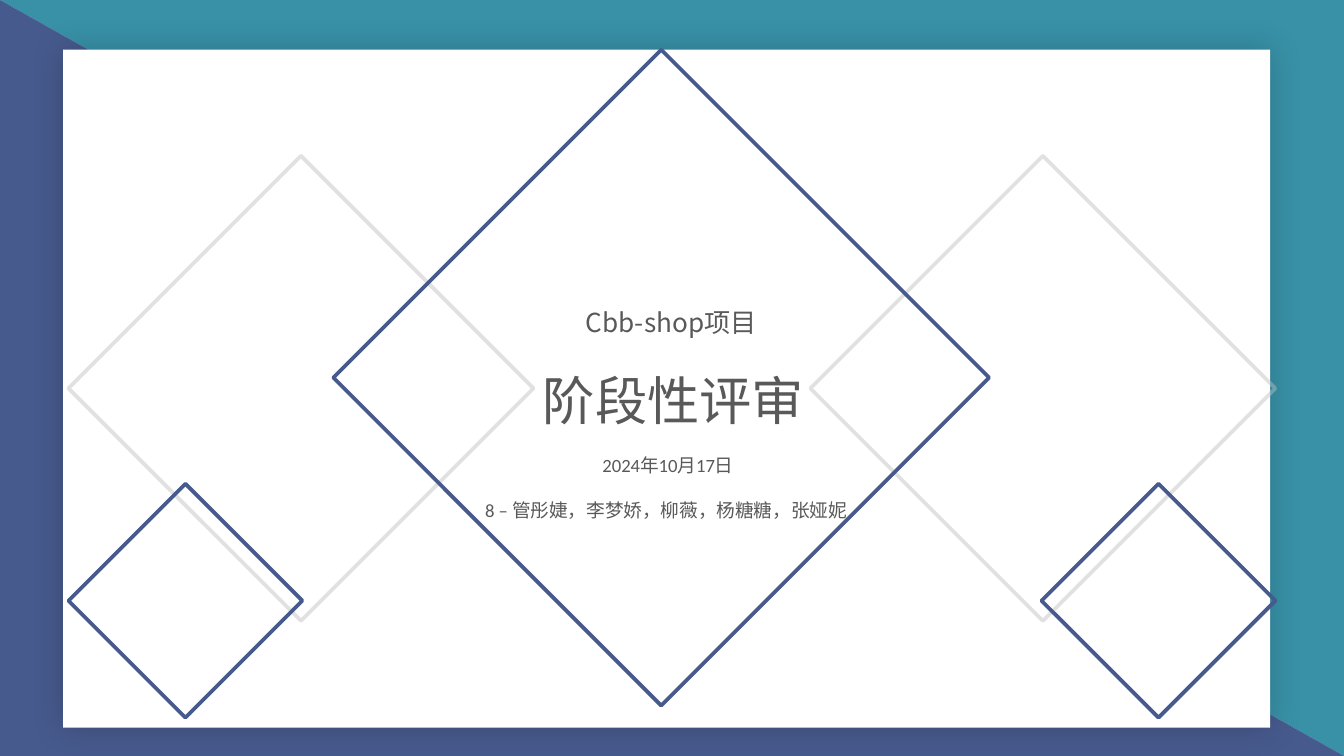
from dataclasses import dataclass

from lxml.etree import SubElement
from pptx import Presentation
from pptx.dml.color import RGBColor
from pptx.enum.shapes import MSO_SHAPE
from pptx.enum.text import MSO_ANCHOR, MSO_AUTO_SIZE, PP_ALIGN
from pptx.oxml.ns import qn
from pptx.util import Inches, Pt

SLIDE_WIDTH = 10
SLIDE_HEIGHT = SLIDE_WIDTH * 9 / 16


@dataclass(frozen=True)
class Theme:
    background: str = "F2F2F2"
    teal: str = "3891A7"
    indigo: str = "475A8D"
    panel: str = "FFFFFF"
    pale: str = "BFBFBF"
    text: str = "595959"
    shadow: str = "000000"
    cjk_font: str = "Noto Sans CJK SC"
    latin_font: str = "Calibri"
    title_size: int = 28
    project_size: int = 14
    detail_size: int = 10
    outline: int = 2


THEME = Theme()


def add_shape(slide, kind, box, fill=None, line=None):
    shape = slide.shapes.add_shape(kind, *map(Inches, box))
    shape.shadow.inherit = False
    if fill:
        shape.fill.solid()
        shape.fill.fore_color.rgb = RGBColor.from_string(fill)
    else:
        shape.fill.background()
    if line:
        shape.line.color.rgb = RGBColor.from_string(line)
        shape.line.width = Pt(THEME.outline)
    else:
        shape.line.fill.background()
    return shape


def set_opacity(color, percent):
    SubElement(color, qn("a:alpha"), val=str(percent * 1000))


def add_soft_shadow(shape, blur, opacity):
    effects = shape._element.spPr.find(qn("a:effectLst"))
    shadow = SubElement(effects, qn("a:outerShdw"), blurRad=str(Pt(blur)),
                        dist="0", dir="0", algn="ctr", rotWithShape="0")
    set_opacity(SubElement(shadow, qn("a:srgbClr"), val=THEME.shadow), opacity)


def add_diamond(slide, left, top, side, color, opacity=100):
    diamond = add_shape(slide, MSO_SHAPE.DIAMOND, (left, top, side, side), line=color)
    if opacity < 100:
        set_opacity(diamond.line._ln.find(".//" + qn("a:srgbClr")), opacity)


def write_text(shape, lines, size, font, align=PP_ALIGN.LEFT, gap=0, wrap=True):
    frame = shape.text_frame
    frame.word_wrap = wrap
    frame.auto_size = MSO_AUTO_SIZE.SHAPE_TO_FIT_TEXT
    frame.vertical_anchor = MSO_ANCHOR.TOP
    frame.text = "\n".join(lines)
    for index, paragraph in enumerate(frame.paragraphs):
        paragraph.alignment = align
        paragraph.space_before = Pt(gap if index else 0)
        paragraph.font.size = Pt(size)
        paragraph.font.name = font
        paragraph.font.color.rgb = RGBColor.from_string(THEME.text)
        for run in paragraph.runs:
            SubElement(run._r.get_or_add_rPr(), qn("a:ea"), typeface=THEME.cjk_font)


def add_backdrop(slide, box):
    """Two triangles split the slide, with a white panel on top."""
    left, top, width, height = box
    slide.background.fill.solid()
    slide.background.fill.fore_color.rgb = RGBColor.from_string(THEME.background)
    upper = add_shape(slide, MSO_SHAPE.RIGHT_TRIANGLE, box, THEME.teal)
    upper.rotation = 180
    add_shape(slide, MSO_SHAPE.RIGHT_TRIANGLE, box, THEME.indigo)
    panel = add_shape(slide, MSO_SHAPE.RECTANGLE,
                      (left + 0.47, top + 0.37, width - 1.02, height - 0.58), THEME.panel)
    add_soft_shadow(panel, blur=17, opacity=18)


def add_diamonds(slide, box):
    """A large central diamond between mirrored pale and small ones."""
    left, top, width, height = box
    for side, offset, color, opacity in (
        (3.46, 0.79, THEME.pale, 45),
        (1.74, height - 1.65, THEME.indigo, 100),
    ):
        for x in (left, left + width - side):
            add_diamond(slide, x, top + offset, side, color, opacity)
    add_diamond(slide, left + 1.97, top, 4.88, THEME.indigo)


def add_heading(slide, box):
    """Project name, title, then date and team."""
    left, top, width, height = box
    project = slide.shapes.add_textbox(Inches(left + 1.89), Inches(top), Inches(5.28), Inches(0.34))
    write_text(project, ["Cbb-shop项目"], THEME.project_size, THEME.cjk_font)

    title = slide.shapes.title
    title.left, title.top = Inches(left + 1.57), Inches(top + 0.46)
    title.width, title.height = Inches(2.17), Inches(0.57)
    write_text(title, ["阶段性评审"], THEME.title_size, THEME.cjk_font, wrap=False)
    slide.shapes._spTree.append(title._element)  # bring in front of the panel

    details = slide.shapes.add_textbox(Inches(left), Inches(top + 1.1),
                                       Inches(width), Inches(height - 1.1))
    write_text(details, ["2024年10月17日", "8 – 管彤婕，李梦娇，柳薇，杨糖糖，张娅妮 "],
               THEME.detail_size, THEME.latin_font, PP_ALIGN.CENTER, gap=12)


def main():
    presentation = Presentation()
    presentation.slide_width = Inches(SLIDE_WIDTH)
    presentation.slide_height = Inches(SLIDE_HEIGHT)
    slide = presentation.slides.add_slide(presentation.slide_layouts[5])
    add_backdrop(slide, (0, 0, SLIDE_WIDTH, SLIDE_HEIGHT))
    add_diamonds(slide, (0.51, 0.37, 8.98, 4.88))
    add_heading(slide, (2.37, 2.23, 5.2, 1.71))
    presentation.save("out.pptx")


if __name__ == "__main__":
    main()
